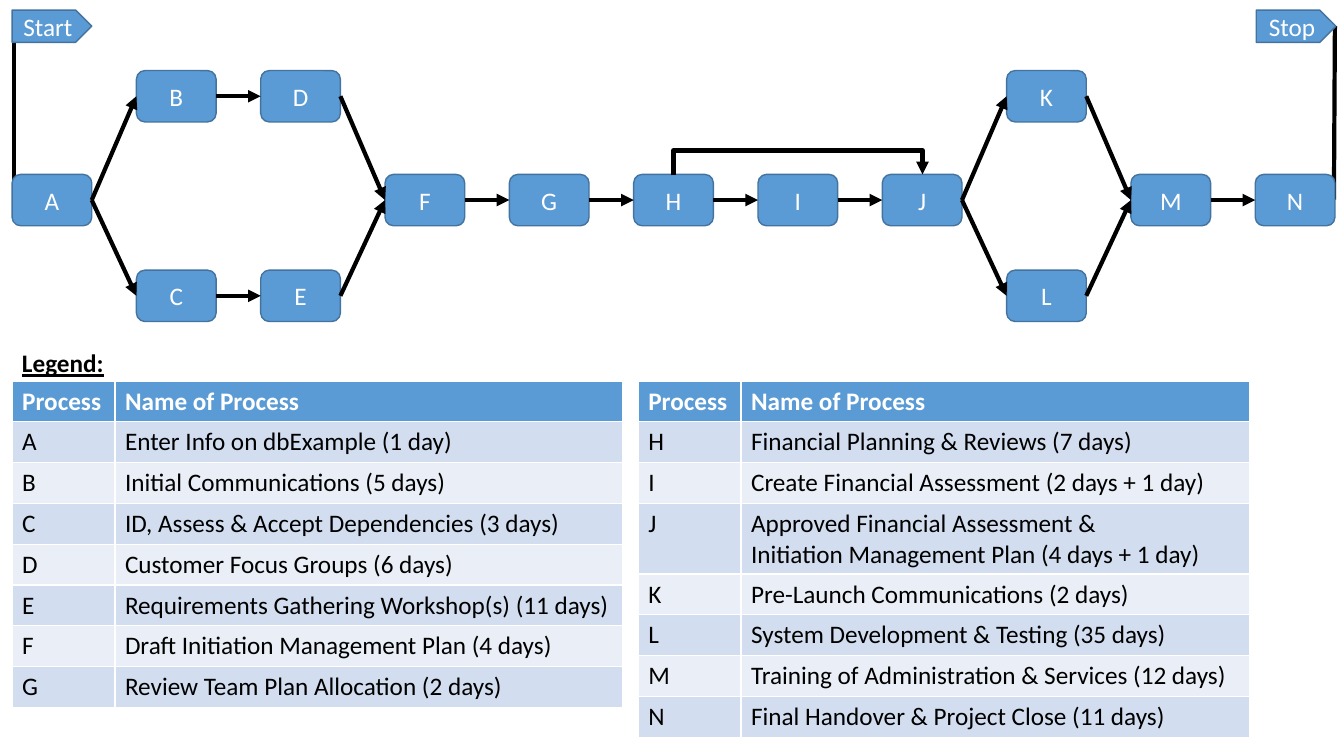
from pptx import Presentation
from pptx.dml.color import RGBColor
from pptx.enum import shapes, text
from pptx.oxml import parse_xml
from pptx.oxml.ns import nsdecls
from pptx.util import Inches, Pt

BLUE, EDGE, BLACK, WHITE = "5B9BD5", "43739E", "000000", "FFFFFF"
BANDS = ["EAEFF7", "D2DEEF"]
rgb = RGBColor.from_string

prs = Presentation()
prs.slide_width, prs.slide_height = Inches(13.33), Inches(7.5)
s = prs.slides.add_slide(prs.slide_layouts[6])


def add_box(kind, label, x, y, h):
    sp = s.shapes.add_shape(kind, Inches(x), Inches(y), Inches(0.79), Inches(h))
    sp.shadow.inherit = False
    sp.fill.solid()
    sp.fill.fore_color.rgb = rgb(BLUE)
    sp.line.color.rgb = rgb(EDGE)
    sp.line.width = Pt(1)
    tf = sp.text_frame
    tf.text = label
    tf.vertical_anchor = text.MSO_ANCHOR.MIDDLE
    p = tf.paragraphs[0]
    p.alignment = text.PP_ALIGN.CENTER
    p.font.size, p.font.name = Pt(18), "Calibri"
    p.font.color.rgb = rgb(WHITE)
    return sp


def add_line(x1, y1, x2, y2, arrow=True, kind=shapes.MSO_CONNECTOR.STRAIGHT):
    c = s.shapes.add_connector(kind, Inches(x1), Inches(y1), Inches(x2), Inches(y2))
    c.line.color.rgb = rgb(BLACK)
    c.line.width = Pt(3)
    if arrow:
        c.line._get_or_add_ln().append(
            parse_xml(f'<a:tailEnd {nsdecls("a")} type="triangle"/>'))
    c._element.spPr.append(parse_xml(f'<a:effectLst {nsdecls("a")}/>'))
    return c


# Lines from the start and stop flags, behind the boxes
add_line(0.14, 0.42, 0.14, 1.98, arrow=False)
add_line(13.23, 1.98, 13.24, 0.26, arrow=False)

# Process boxes: three rows on an even column grid
rows = [
    (0.7, {"B": 1, "D": 2, "K": 8}),
    (1.73, {"A": 0, "F": 3, "G": 4, "H": 5, "I": 6, "J": 7, "M": 9, "N": 10}),
    (2.68, {"C": 1, "E": 2, "L": 8}),
]
boxes = {}
for y, columns in rows:
    for label, col in columns.items():
        boxes[label] = add_box(shapes.MSO_SHAPE.ROUNDED_RECTANGLE, label,
                               0.12 + 12.33 * col / 10, y, 0.51)

# Start and stop flags
for label, x in [("Start", 0.12), ("Stop", 12.46)]:
    add_box(shapes.MSO_SHAPE.PENTAGON, label, x, 0.1, 0.32)

# Arrows from the right side of one box to the left side of the next
for start, end in "AB AC BD CE DF EF FG GH HI IJ JK JL KM LM MN".split():
    c = add_line(0, 0, 1, 1)
    c.begin_connect(boxes[start], 3)
    c.end_connect(boxes[end], 1)

# Bypass from H over I to J: a bent connector turned by 90 degrees
c = add_line(7.92, 2.97, 7.91, 0.5, kind=shapes.MSO_CONNECTOR.ELBOW)
c._element.spPr.xfrm.set("rot", "5400000")
c._element.spPr.prstGeom.rewrite_guides([("adj1", 2500000)])

# Legend heading
tb = s.shapes.add_textbox(Inches(0.12), Inches(3.4), Inches(12.24), Inches(0.71))
tf = tb.text_frame
tf.word_wrap = True
tf.text = "Legend:"
p = tf.paragraphs[0]
p.font.size, p.font.name = Pt(18), "Calibri"
p.font.bold = p.font.underline = True
p.font.color.rgb = rgb(BLACK)

# Legend tables
legends = [
    (0.12, "ABCDEFG", [
        "Enter Info on dbExample (1 day)",
        "Initial Communications (5 days)",
        "ID, Assess & Accept Dependencies (3 days)",
        "Customer Focus Groups (6 days)",
        "Requirements Gathering Workshop(s) (11 days)",
        "Draft Initiation Management Plan (4 days)",
        "Review Team Plan Allocation (2 days)",
    ]),
    (6.33, "HIJKLMN", [
        "Financial Planning & Reviews (7 days)",
        "Create Financial Assessment (2 days + 1 day)",
        "Approved Financial Assessment &\nInitiation Management Plan (4 days + 1 day)",
        "Pre-Launch Communications (2 days)",
        "System Development & Testing (35 days)",
        "Training of Administration & Services (12 days)",
        "Final Handover & Project Close (11 days)",
    ]),
]
for x, letters, names in legends:
    table = s.shapes.add_table(8, 2, Inches(x), Inches(3.78),
                               Inches(6.06), Inches(3.24)).table
    table.columns[0].width, table.columns[1].width = Inches(1.02), Inches(5.04)
    for i, row in enumerate([("Process", "Name of Process"), *zip(letters, names)]):
        for j, value in enumerate(row):
            cell = table.cell(i, j)
            cell.fill.solid()
            cell.fill.fore_color.rgb = rgb(BANDS[i % 2] if i else BLUE)
            cell.text = value
            for p in cell.text_frame.paragraphs:
                p.font.size, p.font.name = Pt(18), "Calibri"
                p.font.bold = i == 0
                p.font.color.rgb = rgb(BLACK if i else WHITE)

prs.save("out.pptx")
